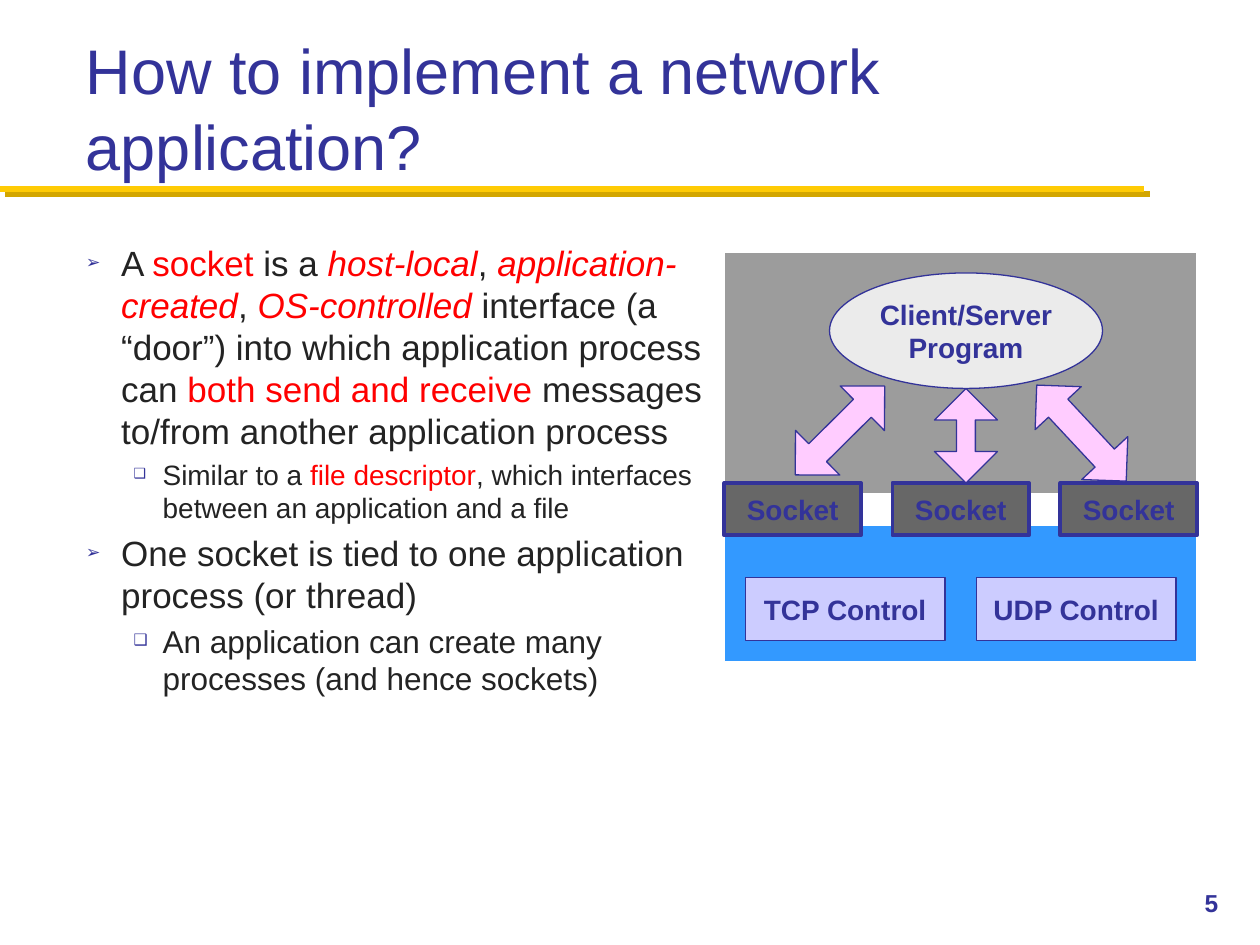
from lxml import etree
from pptx import Presentation, util as u
from pptx.dml.color import RGBColor
from pptx.enum import shapes, text
from pptx.oxml import parse_xml
from pptx.oxml.ns import nsdecls, qn

COLS, ROWS = 120, 90
CELL = u.Inches(10) / COLS
NAVY, DARK, RED = "333399", "232323", "FF0000"
KIND = shapes.MSO_SHAPE
ALIGN, ANCHOR = text.PP_ALIGN, text.MSO_ANCHOR


def paint(code):
    return RGBColor.from_string(code)


def span(*cells):
    return [round(c * CELL) for c in cells]


def shift(box, x, y, w, h):
    return box[0] + x, box[1] + y, w, h


def bullet(para, mark, left, hang):
    props = para._p.get_or_add_pPr()
    props.set("marL", str(u.Inches(left)))
    props.set("indent", str(-u.Inches(hang)))
    for xml in (
        f'<a:buClr {nsdecls("a")}><a:srgbClr val="{NAVY}"/></a:buClr>',
        f'<a:buSzPct {nsdecls("a")} val="50000"/>',
        f'<a:buFont {nsdecls("a")} typeface="Arial"/>',
        f'<a:buChar {nsdecls("a")} char="{mark}"/>',
    ):
        props.append(parse_xml(xml))


def write(para, words, size=16, color=NAVY, bold=False, align=ALIGN.LEFT, before=0):
    para.alignment = align
    para.space_before = u.Pt(before)
    for part in [words] if isinstance(words, str) else words:
        word, tint, slant = (part, color, False) if isinstance(part, str) else part
        run = para.add_run()
        run.text = word
        font = run.font
        font.name, font.size = "Arial", u.Pt(size)
        font.bold, font.italic = bold, slant
        font.color.rgb = paint(tint)


def frame(slide, box, anchor=ANCHOR.TOP):
    area = slide.shapes.add_textbox(*span(*box)).text_frame
    area.word_wrap = True
    area.vertical_anchor = anchor
    return area


def block(slide, kind, box, fill, line=NAVY, width=0.75, label=()):
    item = slide.shapes.add_shape(kind, *span(*box))
    item.shadow.inherit = False
    item.fill.solid()
    item.fill.fore_color.rgb = paint(fill)
    item.line.color.rgb = paint(line)
    item.line.width = u.Pt(width)
    area = item.text_frame
    area.word_wrap = False
    area.vertical_anchor = ANCHOR.MIDDLE
    for i, words in enumerate(label):
        para = area.add_paragraph() if i else area.paragraphs[0]
        write(para, words, bold=True, align=ALIGN.CENTER)
    return item


def header(slide, box):
    area = frame(slide, box, ANCHOR.BOTTOM)
    write(area.paragraphs[0], "How to implement a network application?", size=36)


def rule(slide, box):
    x, y, w, h = span(*box)
    line = slide.shapes.add_connector(shapes.MSO_CONNECTOR.STRAIGHT, x, y, x + w, y + h)
    line.line.color.rgb = paint("FFCB05")
    line.line.width = u.Pt(3.5)
    props = line._element.spPr
    glow = etree.SubElement(props, qn("a:effectLst"))
    glow.append(parse_xml(
        f'<a:outerShdw {nsdecls("a")} blurRad="0" dist="{u.Pt(4.2)}" dir="2700000" '
        'algn="ctr" rotWithShape="0"><a:srgbClr val="D3A600"/></a:outerShdw>'))


def points(slide, box):
    area = frame(slide, box)
    items = [
        (0, 20, ["A ", ("socket", RED, False), " is a ", ("host-local", RED, True), ", ",
                 ("application-created", RED, True), ", ", ("OS-controlled", RED, True),
                 " interface (a “door”) into which application process can ",
                 ("both send and receive", RED, False),
                 " messages to/from another application process"]),
        (1, 16, ["Similar to a ", ("file descriptor", RED, False),
                 ", which interfaces between an application and a file"]),
        (0, 20, "One socket is tied to one application process (or thread)"),
        (1, 18, "An application can create many processes (and hence sockets)"),
    ]
    looks = [("➢", 0.28, 0.28), ("❑", 0.61, 0.23)]
    for i, (level, size, words) in enumerate(items):
        para = area.add_paragraph() if i else area.paragraphs[0]
        para.level = level
        bullet(para, *looks[level])
        write(para, words, size=size, color=DARK, before=size * 0.2 if i else 0)


def diagram(slide, box):
    wide = box[2]
    block(slide, KIND.RECTANGLE, shift(box, 0, 0, wide, 23), "9C9C9C", "FFFFFF")
    block(slide, KIND.RECTANGLE, shift(box, 0, 26, wide, 13), "3399FF", "FFFFFF")
    block(slide, KIND.OVAL, shift(box, 10, 2, 26, 11), "EBEBEB",
          label=["Client/Server", "Program"])
    for i in range(3):
        block(slide, KIND.RECTANGLE, shift(box, 16 * i, 22, 13, 5), "676767",
              width=2.25, label=["Socket"])
    for x, y, tall, turn, head in [(20, 13, 9, 0, 0.3), (8, 11, 12, 45.2, 0.4),
                                   (31, 11, 12.5, 317, 0.42)]:
        arrow = block(slide, KIND.UP_DOWN_ARROW, shift(box, x, y, 6, tall), "FFCCFF")
        arrow.rotation = turn
        arrow.adjustments[0], arrow.adjustments[1] = 0.5, head
    for i, name in enumerate(["TCP", "UDP"]):
        block(slide, KIND.RECTANGLE, shift(box, 2 + 22 * i, 31, 19, 6), "CCCCFF",
              label=[f"{name} Control"])


def number(slide, box):
    write(frame(slide, box).paragraphs[0], "5", size=14, bold=True, align=ALIGN.RIGHT)


def main():
    deck = Presentation()
    deck.slide_width, deck.slide_height = span(COLS, ROWS)
    slide = deck.slides.add_slide(deck.slide_layouts[6])
    rule(slide, (0, 18, 109, 0))
    points(slide, (7, 22.4, 62.4, 59.6))
    diagram(slide, (69, 24, 45, 39))
    header(slide, (7, 3, 102.4, 15))
    number(slide, (109, 84, 8.2, 6))
    deck.save("out.pptx")


if __name__ == "__main__":
    main()
